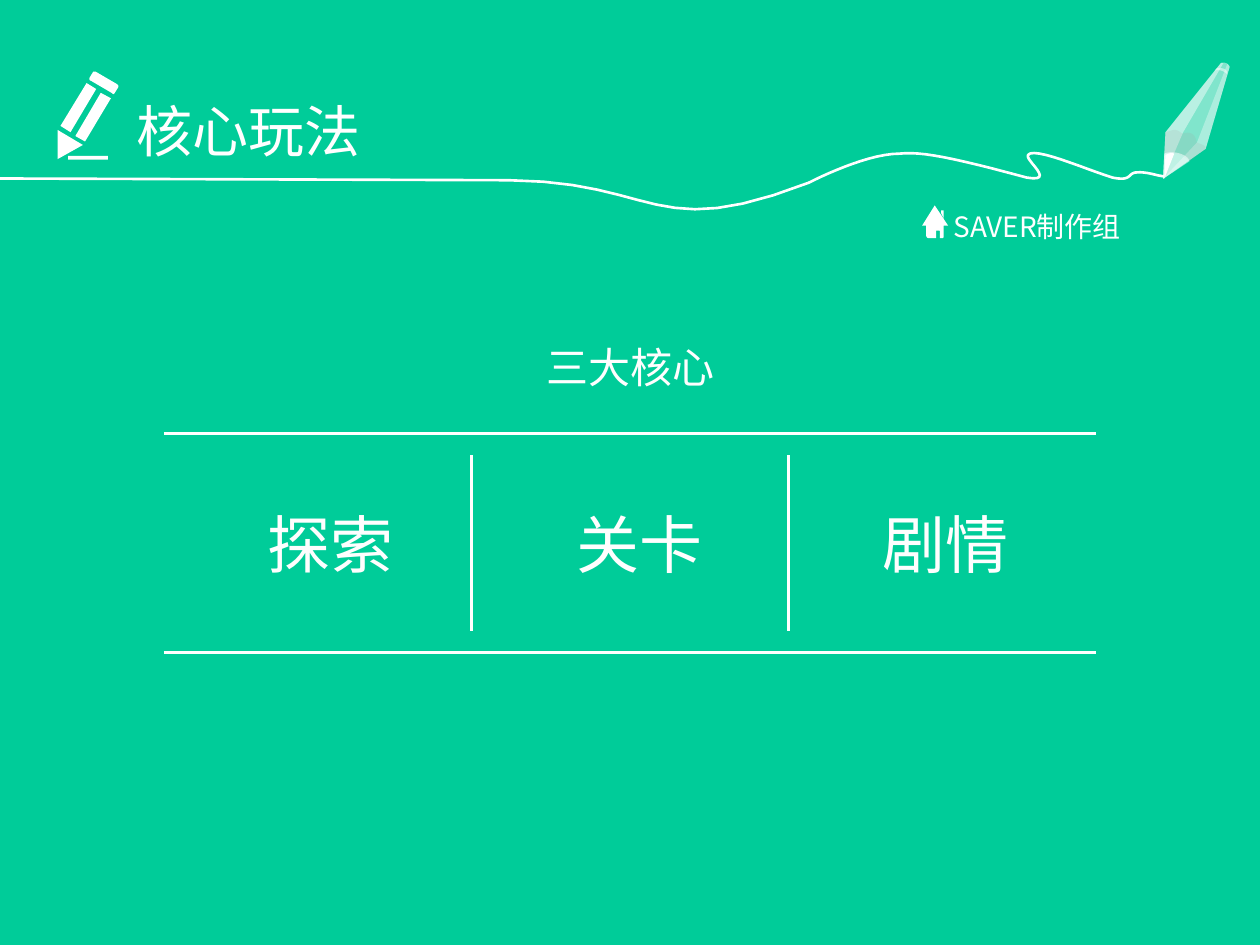
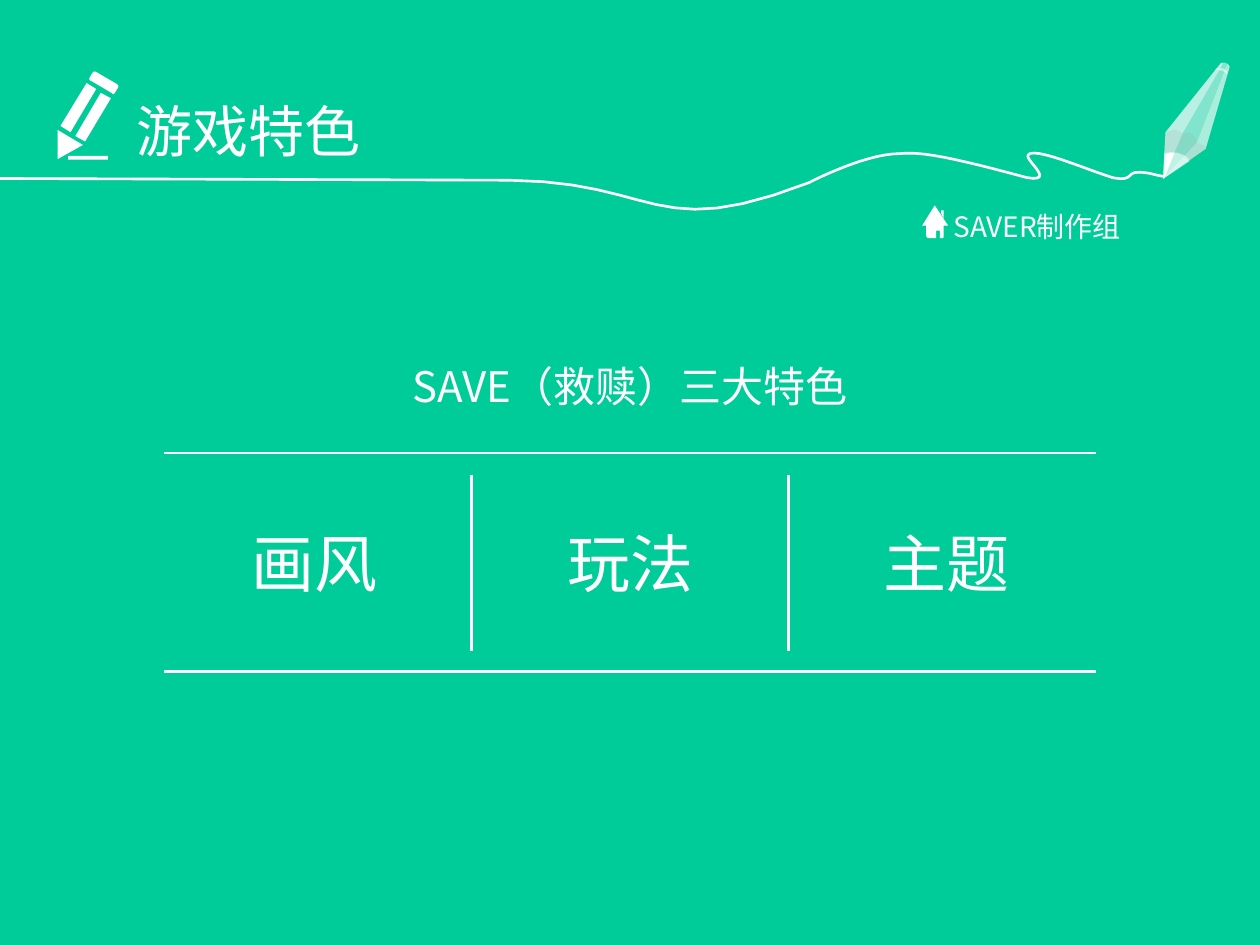
from lxml import etree
from pptx import Presentation
from pptx.dml.color import RGBColor
from pptx.enum.shapes import MSO_CONNECTOR
from pptx.enum.text import MSO_ANCHOR, MSO_AUTO_SIZE, PP_ALIGN
from pptx.oxml.ns import qn
from pptx.util import Pt

FONT = "Noto Sans CJK SC"
GREEN, WHITE, SOFT_WHITE, GREY = "00CC99", "FFFFFF", "FEFEFE", "A5A5A5"
CURVE_STEPS = 12
UNITS = 100  # freeform units per point

# Header outlines in points: M move, L line, C cubic curve, Z close
TRAIL = """M 0 102 L 290.9 103 C 376.6 103.7 373 139 462.2 104.4
    C 475.2 97.9 498.2 87.8 514.1 87.8 C 526.3 86.4 544.3 90 586.8 101.5
    C 604.1 104.4 585.4 91.4 587.5 88.6 C 590.4 83.5 619.9 96.5 635.8 101.5
    C 646.6 103.7 644.4 99.4 648.7 98.6 C 655.2 97.9 659.5 100.1 665.3 100.8"""
PENCIL_ICON = """M 38.9 89.1 L 61.7 89.1 L 61.7 91.3 L 38.9 91.3 Z
    M 32.9 74.3 L 47.4 82.9 L 32.9 91 Z
    M 57.6 53.1 L 63.4 56.2 L 48.6 80.9 L 43.1 77.8 Z
    M 49.5 47.5 L 55 50.9 L 40.3 75.6 L 34.6 72 Z
    M 54 41 L 54.7 41 L 67 48.2 C 67.7 49 67.7 49 67.7 49.7 L 65.5 53.3
    C 64.8 54 64.8 54 64.1 53.3 L 51.8 46.1 C 51.1 46.1 51.1 45.4 51.1 44.6
    L 53.3 41 Z"""
HOUSE_ICON = """M 537.8 120.2 L 539.3 120.2 L 539.3 124.6 L 537.8 121.7 Z
    M 534.2 117.4 L 541.8 128.9 L 539.3 128.9 L 539.3 133.9
    C 539.3 135.4 539.3 136.1 538.6 136.1 L 537.1 136.1 L 537.1 132.5
    C 537.1 131.8 537.1 131.8 536.4 131.8 L 535 131.8
    C 535 131.8 535 131.8 535 132.5 L 535 136.1 L 530.6 136.1
    C 529.9 136.1 529.2 135.4 529.2 133.9 L 529.2 128.9 L 527 128.9 Z"""
PEN_BODY = """M 664.6 102.2 L 666 75.6 L 697.7 36 C 699.1 35.3 702 36 702.7 38.2
    L 689 85 Z"""
PEN_LEFT = "M 699.1 36 L 676.1 75.6 L 664.6 102.2 L 666 75.6 L 697.7 36 Z"
PEN_RIGHT = """M 701.3 36.7 C 702 36.7 702 37.4 702.7 38.2 L 689 85
    L 664.6 102.2 L 684 81.4 Z"""
PEN_BAND = """M 671 74.2 C 673.2 74.2 674.6 75.6 675.4 76.3
    C 683.3 74.2 683.3 79.9 684 81.4 C 686.9 82.8 689 82.8 689 85 L 679.7 92.2
    C 677.5 88.6 671 86.4 665.3 87.8 L 666 75.6 C 668.2 74.9 670.3 74.2 671 74.2 Z"""
PEN_TIP = "M 665.3 87.8 C 668.9 85.7 679 87.8 679.7 92.2 L 664.6 102.2 Z"
PEN_LEAD = "M 666 88.6 C 667.4 87.8 668.9 87.1 671 87.8 L 665.3 102.2 Z"
PEN_CAP = """M 697 38.9 C 699.1 38.9 700.6 39.6 701.3 41 L 701.3 42.5
    C 699.8 41 697.7 39.6 694.1 40.3 L 695.5 38.9 Z"""

# Outline, fill colour (None for a stroke), opacity in percent
HEADER_ART = [
    (PENCIL_ICON, WHITE, 100), (TRAIL, None, 100),
    (PEN_BODY, WHITE, 50), (PEN_LEFT, WHITE, 45), (PEN_RIGHT, WHITE, 34),
    (PEN_BAND, GREY, 18), (PEN_TIP, WHITE, 50), (PEN_LEAD, WHITE, 100),
    (PEN_CAP, WHITE, 50), (HOUSE_ICON, WHITE, 100),
]

# Each keyword: text, left edge and width of its box
SLIDES = [
    {"title": "核心玩法", "heading": "三大核心", "top": 191.5,
     "keywords": [("探索", 121, 136), ("关卡", 297.5, 136), ("剧情", 472.3, 136)]},
    {"title": "游戏特色", "heading": "SAVE（救赎）三大特色", "top": 202.5,
     "keywords": [("画风", 110.2, 139), ("玩法", 292.3, 136), ("主题", 473, 136)]},
]


def color(hex_code):
    return RGBColor.from_string(hex_code)


def write_text(box, text, place, size, hex_code, align):
    for name, value in zip(("left", "top", "width", "height"), place):
        setattr(box, name, Pt(value))
    frame = box.text_frame
    frame.text = text
    frame_format = {"word_wrap": True, "auto_size": MSO_AUTO_SIZE.NONE,
                    "vertical_anchor": MSO_ANCHOR.MIDDLE}
    for name, value in frame_format.items():
        setattr(frame, name, value)
    para = frame.paragraphs[0]
    para.alignment = align
    span = para.runs[0]
    for name, value in {"name": FONT, "size": Pt(size), "bold": False}.items():
        setattr(span.font, name, value)
    span.font.color.rgb = color(hex_code)
    east_asian = etree.SubElement(span.font._element, qn("a:ea"))
    east_asian.set("typeface", FONT)


deck = Presentation()
deck.slide_width, deck.slide_height = Pt(720), Pt(540)
background = deck.slide_master.background.fill
background.solid()
background.fore_color.rgb = color(GREEN)

for content in SLIDES:
    page = deck.slides.add_slide(deck.slide_layouts[5])
    shapes = page.shapes

    # Header art: icons, wavy trail and pen
    for outline, fill_color, opacity in HEADER_ART:
        builder, tokens = None, iter(outline.split())
        for command in tokens:
            if command == "Z":
                builder.add_line_segments([], close=True)
                continue
            count = 3 if command == "C" else 1
            points = [(float(next(tokens)) * UNITS, float(next(tokens)) * UNITS)
                      for _ in range(count)]
            if command == "M" and builder is None:
                builder = shapes.build_freeform(*points[0], scale=Pt(1) / UNITS)
            elif command == "M":
                builder.move_to(*points[0])
            elif command == "L":
                builder.add_line_segments(points, close=False)
            else:
                controls = [pen_point, *points]
                curve = []
                for step in range(1, CURVE_STEPS + 1):
                    t = step / CURVE_STEPS
                    weights = ((1 - t) ** 3, 3 * t * (1 - t) ** 2,
                               3 * t * t * (1 - t), t ** 3)
                    curve.append([sum(w * p[axis] for w, p in zip(weights, controls))
                                  for axis in (0, 1)])
                builder.add_line_segments(curve, close=False)
            pen_point = points[-1]
        art = builder.convert_to_shape()
        art.shadow.inherit = False
        if fill_color is None:
            art.fill.background()
            art.line.color.rgb = color(WHITE)
            art.line.width = Pt(1.5)
            continue
        art.fill.solid()
        art.fill.fore_color.rgb = color(fill_color)
        art.line.fill.background()
        if opacity < 100:
            tint = art._element.spPr.find(qn("a:solidFill"))[0]
            etree.SubElement(tint, qn("a:alpha")).set("val", str(opacity * 1000))

    # Title, team name and heading
    top = content["top"]
    write_text(shapes.title, content["title"], (70.6, 51.1, 164.9, 46.1),
               32, WHITE, PP_ALIGN.LEFT)
    texts = [("SAVER制作组", (537.8, 115.9, 118.8, 26.6), 16, WHITE, PP_ALIGN.LEFT),
             (content["heading"], (99.4, top, 521.3, 36), 24, SOFT_WHITE,
              PP_ALIGN.CENTER)]

    # Three keywords
    for keyword, left, width in content["keywords"]:
        texts.append((keyword, (left, top + 93.6, width, 50.4), 36, SOFT_WHITE,
                      PP_ALIGN.CENTER))
    for text, place, size, hex_code, align in texts:
        box = shapes.add_textbox(*map(Pt, place))
        write_text(box, text, place, size, hex_code, align)

    # Rules above and below, dividers between the keywords
    rules = [(93.6, y, 626.4, y) for y in (top + 56.3, top + 181.3)]
    dividers = [(x, top + 68.7, x, top + 169.3) for x in (269.3, 450.7)]
    for ends in rules + dividers:
        line = shapes.add_connector(MSO_CONNECTOR.STRAIGHT, *map(Pt, ends))
        line.line.color.rgb = color(WHITE)
        line.line.width = Pt(1.5)
        etree.SubElement(line._element.spPr, qn("a:effectLst"))

deck.save("out.pptx")
